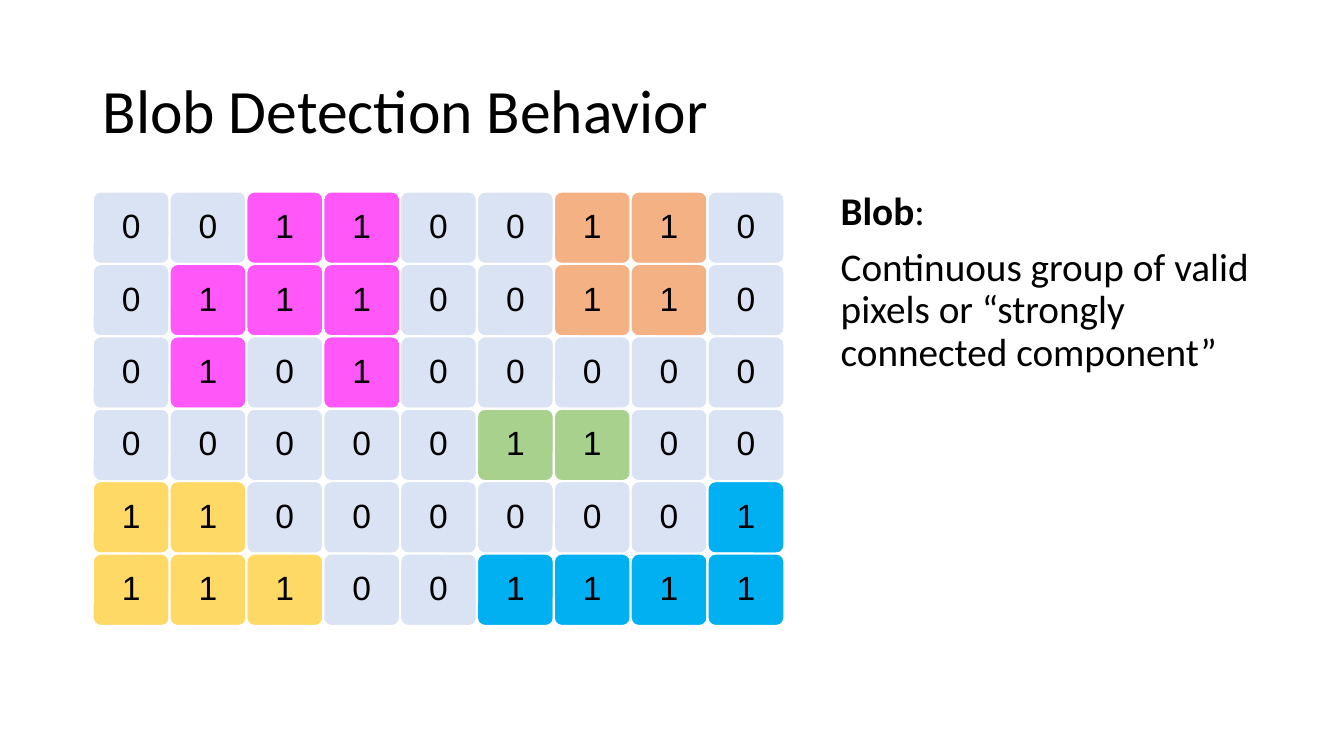
from pptx import Presentation
from pptx.dml.color import RGBColor
from pptx.enum.shapes import MSO_SHAPE
from pptx.enum.text import MSO_ANCHOR, PP_ALIGN
from pptx.util import Inches, Pt


def color(hex_value):
    return RGBColor.from_string(hex_value)


def write(shape, paragraphs, anchor, paragraph_format, font_format):
    """Fill a shape with paragraphs, each a list of (text, bold) runs."""
    frame = shape.text_frame
    frame.word_wrap = True
    frame.vertical_anchor = anchor
    for index, runs in enumerate(paragraphs):
        paragraph = frame.add_paragraph() if index else frame.paragraphs[0]
        for name, value in paragraph_format.items():
            setattr(paragraph, name, value)
        for text, bold in runs:
            run = paragraph.add_run()
            run.text = text
            run.font.bold = bold
            run.font.color.rgb = color("000000")
            for name, value in font_format.items():
                setattr(run.font, name, value)


presentation = Presentation()
presentation.slide_width = Inches(13.33)
presentation.slide_height = Inches(7.5)
slide = presentation.slides.add_slide(presentation.slide_layouts[6])

# Title
title = slide.shapes.add_textbox(Inches(0.92), Inches(0.4), Inches(11.5), Inches(1.45))
write(title, [[("Blob Detection Behavior", False)]], MSO_ANCHOR.MIDDLE,
      {"line_spacing": 0.9}, {"name": "Calibri", "size": Pt(44)})

# Definition
definition = slide.shapes.add_textbox(Inches(8.24), Inches(1.85), Inches(4.56), Inches(4.76))
definition_paragraphs = [
    [("Blob", True), (":", False)],
    [("Continuous group of valid pixels or “strongly connected component”", False)],
]
write(definition, definition_paragraphs, MSO_ANCHOR.TOP,
      {"line_spacing": 0.9, "space_before": Pt(10)}, {"name": "Calibri", "size": Pt(28)})

# Pixel grid: a dot is an empty pixel, a letter names the blob it belongs to
pixel_rows = [
    "..PP..OO.",
    ".PPP..OO.",
    ".P.P.....",
    ".....GG..",
    "YY......B",
    "YYY..BBBB",
]
pixel_fills = {
    ".": "DAE3F3",
    "P": "FF57F8",
    "O": "F4B183",
    "G": "A9D18E",
    "Y": "FFD966",
    "B": "00B0F0",
}
grid_left, grid_top = Inches(0.92), Inches(1.9)
pixel_width = Inches(6.86) // len(pixel_rows[0])
pixel_height = Inches(4.31) // len(pixel_rows)
pixel_format = {"alignment": PP_ALIGN.CENTER, "line_spacing": 0.9, "space_before": Pt(10)}

for row, pixels in enumerate(pixel_rows):
    for column, blob in enumerate(pixels):
        pixel = slide.shapes.add_shape(
            MSO_SHAPE.ROUNDED_RECTANGLE,
            grid_left + column * pixel_width, grid_top + row * pixel_height,
            pixel_width, pixel_height)
        pixel.adjustments[0] = 0.11
        pixel.shadow.inherit = False
        pixel.fill.solid()
        pixel.fill.fore_color.rgb = color(pixel_fills[blob])
        pixel.line.color.rgb = color("FFFFFF")
        pixel.line.width = Pt(1.5)
        digit = "0" if blob == "." else "1"
        write(pixel, [[(digit, False)]], MSO_ANCHOR.MIDDLE, pixel_format,
              {"name": "Arial", "size": Pt(24)})

presentation.save("out.pptx")
